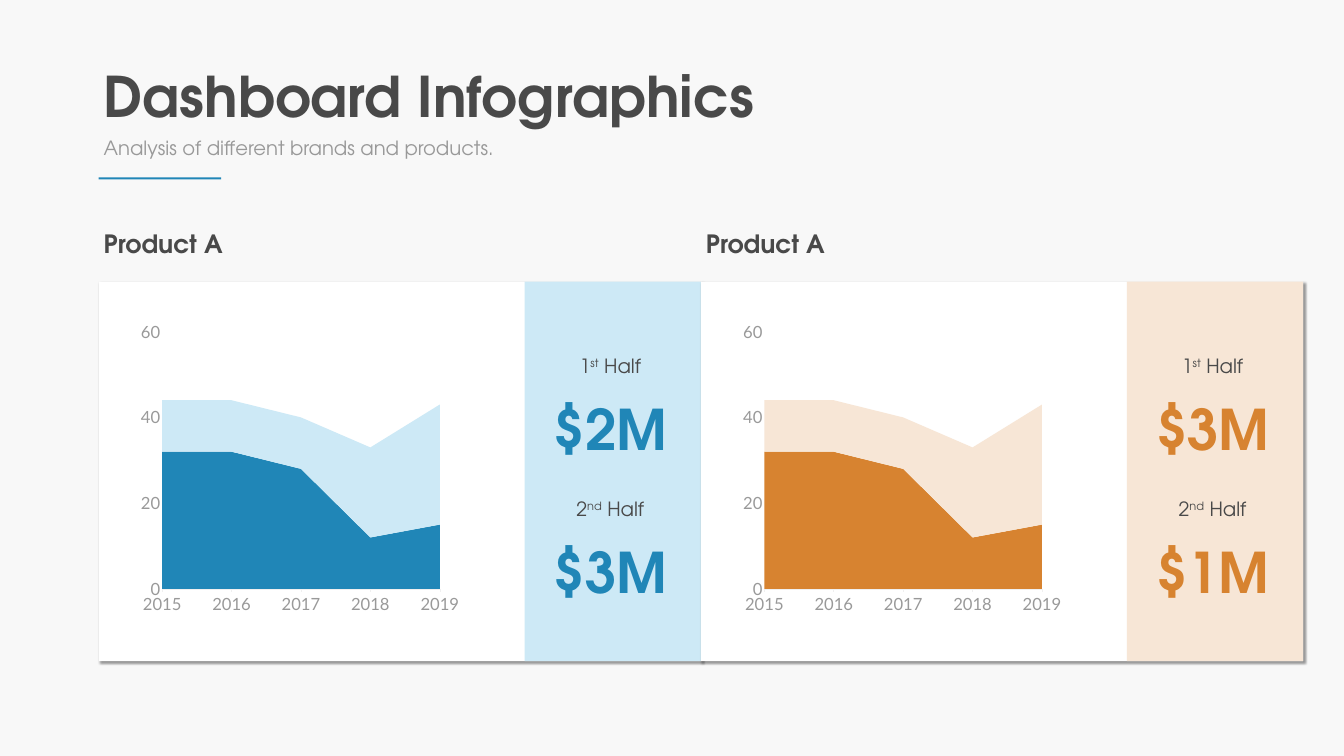
from lxml import etree
from pptx import Presentation
from pptx.chart.data import CategoryChartData
from pptx.dml.color import RGBColor
from pptx.enum.chart import XL_CHART_TYPE as ChartType, XL_TICK_MARK as TickMark
from pptx.enum.shapes import MSO_SHAPE as Preset
from pptx.enum.text import MSO_AUTO_SIZE as AutoSize, PP_ALIGN as Align
from pptx.oxml import parse_xml
from pptx.oxml.ns import nsdecls, qn
from pptx.util import Inches, Pt

BACKGROUND = RGBColor(0xF8, 0xF8, 0xF8)
WHITE = RGBColor(0xFF, 0xFF, 0xFF)
DARK = RGBColor(0x49, 0x49, 0x49)
GRAY = RGBColor(0x99, 0x99, 0x99)
AXIS_GRAY = RGBColor(0xF0, 0xF0, 0xF0)
BLUE = RGBColor(0x20, 0x86, 0xB7)
PALE_BLUE = RGBColor(0xCD, 0xE9, 0xF6)
ORANGE = RGBColor(0xD7, 0x83, 0x30)
PALE_ORANGE = RGBColor(0xF7, 0xE6, 0xD6)

HEADING_FONT = "TeX Gyre Adventor"
CHART_FONT = "Lato"
YEARS = ["2015", "2016", "2017", "2018", "2019"]
SERIES = {"Series 1": (32, 32, 28, 12, 15), "Series 2": (12, 12, 12, 21, 28)}
PLOT_BOX = {"x": 0.086, "y": 0.036, "w": 0.865, "h": 0.833}
LEFT = 1.96
PANEL_WIDTH, PANEL_HEIGHT = 11.95, 7.53
SIDEBAR_WIDTH = 3.5


def set_format(font, color, **values):
    for key, value in values.items():
        setattr(font, key, value)
    font.color.rgb = color


def add_text(slide, box, parts, color, size, bold=False, align=Align.LEFT, wrap=True):
    frame = slide.shapes.add_textbox(*map(Inches, box)).text_frame
    frame.word_wrap = wrap
    frame.auto_size = AutoSize.SHAPE_TO_FIT_TEXT
    paragraph = frame.paragraphs[0]
    paragraph.alignment = align
    for text, raised in parts:
        run = paragraph.add_run()
        run.text = text
        set_format(run.font, color, name=HEADING_FONT, size=Pt(size), bold=bold)
        if raised:
            run._r.get_or_add_rPr().set("baseline", "30000")


def add_rectangle(slide, box, color, shadowed=False):
    rectangle = slide.shapes.add_shape(Preset.RECTANGLE, *map(Inches, box))
    rectangle.fill.solid()
    rectangle.fill.fore_color.rgb = color
    rectangle.line.fill.background()
    rectangle.shadow.inherit = False
    if shadowed:
        effects = rectangle._element.spPr.find(qn("a:effectLst"))
        effects.append(parse_xml(
            f'<a:outerShdw {nsdecls("a")} blurRad="50800" dist="38100" dir="2700000" '
            'algn="tl" rotWithShape="0"><a:srgbClr val="000000">'
            '<a:alpha val="40000"/></a:srgbClr></a:outerShdw>'))


def fix_plot_area(plot_area):
    for layout in plot_area.findall(qn("c:layout")):
        plot_area.remove(layout)
    layout = etree.Element(qn("c:layout"))
    manual = etree.SubElement(layout, qn("c:manualLayout"))
    modes = {"layoutTarget": "inner", "xMode": "edge", "yMode": "edge"}
    for tag, value in {**modes, **PLOT_BOX}.items():
        etree.SubElement(manual, qn(f"c:{tag}")).set("val", str(value))
    plot_area.insert(0, layout)
    for crossing in plot_area.iter(qn("c:crossBetween")):
        crossing.set("val", "midCat")


def add_sales_chart(slide, box, colors):
    data = CategoryChartData()
    data.categories = YEARS
    for name, values in SERIES.items():
        data.add_series(name, values)
    chart = slide.shapes.add_chart(
        ChartType.AREA_STACKED, *map(Inches, box), data).chart
    chart.has_legend = False
    chart.has_title = False
    set_format(chart.font, GRAY, name=CHART_FONT, size=Pt(24))
    chart.plots[0].vary_by_categories = False
    for series, color in zip(chart.plots[0].series, colors):
        series.format.fill.solid()
        series.format.fill.fore_color.rgb = color
        series.format.line.fill.background()

    years, amounts = chart.category_axis, chart.value_axis
    for axis in (years, amounts):
        axis.has_major_gridlines = False
        axis.minor_tick_mark = TickMark.NONE
        set_format(axis.tick_labels.font, GRAY, name=CHART_FONT, size=Pt(24))
    years.major_tick_mark = TickMark.OUTSIDE
    years.format.line.color.rgb = AXIS_GRAY
    years.format.line.width = Pt(0.75)
    amounts.major_tick_mark = TickMark.NONE
    amounts.format.line.fill.background()
    scale = {"minimum_scale": 0, "maximum_scale": 60, "major_unit": 20}
    for key, value in scale.items():
        setattr(amounts, key, value)
    fix_plot_area(chart._chartSpace.chart.plotArea)


def add_header(slide, left, top):
    add_text(slide, (left, top, 13.27, 1.45), [("Dashboard Infographics", False)],
             DARK, 80, bold=True, wrap=False)
    add_text(slide, (left, top + 1.48, 9.56, 0.57),
             [("Analysis of different brands and products.", False)], GRAY, 28)
    add_rectangle(slide, (left, top + 2.35, 2.43, 0.04), BLUE)


def add_half(slide, left, top, number, suffix, amount, color):
    label = [(number, False), (suffix, True), (" Half", False)]
    add_text(slide, (left, top, 3.32, 0.57), label, DARK, 28, align=Align.CENTER)
    add_text(slide, (left + 0.43, top + 0.8, 2.47, 1.45), [(amount, False)],
             color, 80, bold=True, align=Align.CENTER, wrap=False)


def add_product_panel(slide, left, top, title, amounts, strong, pale):
    add_rectangle(slide, (left, top, PANEL_WIDTH, PANEL_HEIGHT), WHITE, shadowed=True)
    add_sales_chart(slide, (left + 0.71, top + 0.77, 6.44, 6.13), (strong, pale))
    sidebar = left + PANEL_WIDTH - SIDEBAR_WIDTH
    add_rectangle(slide, (sidebar, top, SIDEBAR_WIDTH, PANEL_HEIGHT), pale)
    ordinals = [("1", "st"), ("2", "nd")]
    for row, ((number, suffix), amount) in enumerate(zip(ordinals, amounts)):
        add_half(slide, sidebar + 0.04, top + 1.39 + row * 2.83,
                 number, suffix, amount, strong)
    add_text(slide, (left, top - 1.11, 4.89, 0.71), [(title, False)],
             DARK, 36, bold=True)


def main():
    deck = Presentation()
    deck.slide_width, deck.slide_height = Inches(26.67), Inches(15)
    slide = deck.slides.add_slide(deck.slide_layouts[6])
    slide.background.fill.solid()
    slide.background.fill.fore_color.rgb = BACKGROUND
    add_header(slide, LEFT, 1.17)
    products = [
        ("Product A", ("$2M", "$3M"), BLUE, PALE_BLUE),
        ("Product A", ("$3M", "$1M"), ORANGE, PALE_ORANGE),
    ]
    for column, product in enumerate(products):
        add_product_panel(slide, LEFT + column * PANEL_WIDTH, 5.59, *product)
    deck.save("out.pptx")


if __name__ == "__main__":
    main()
